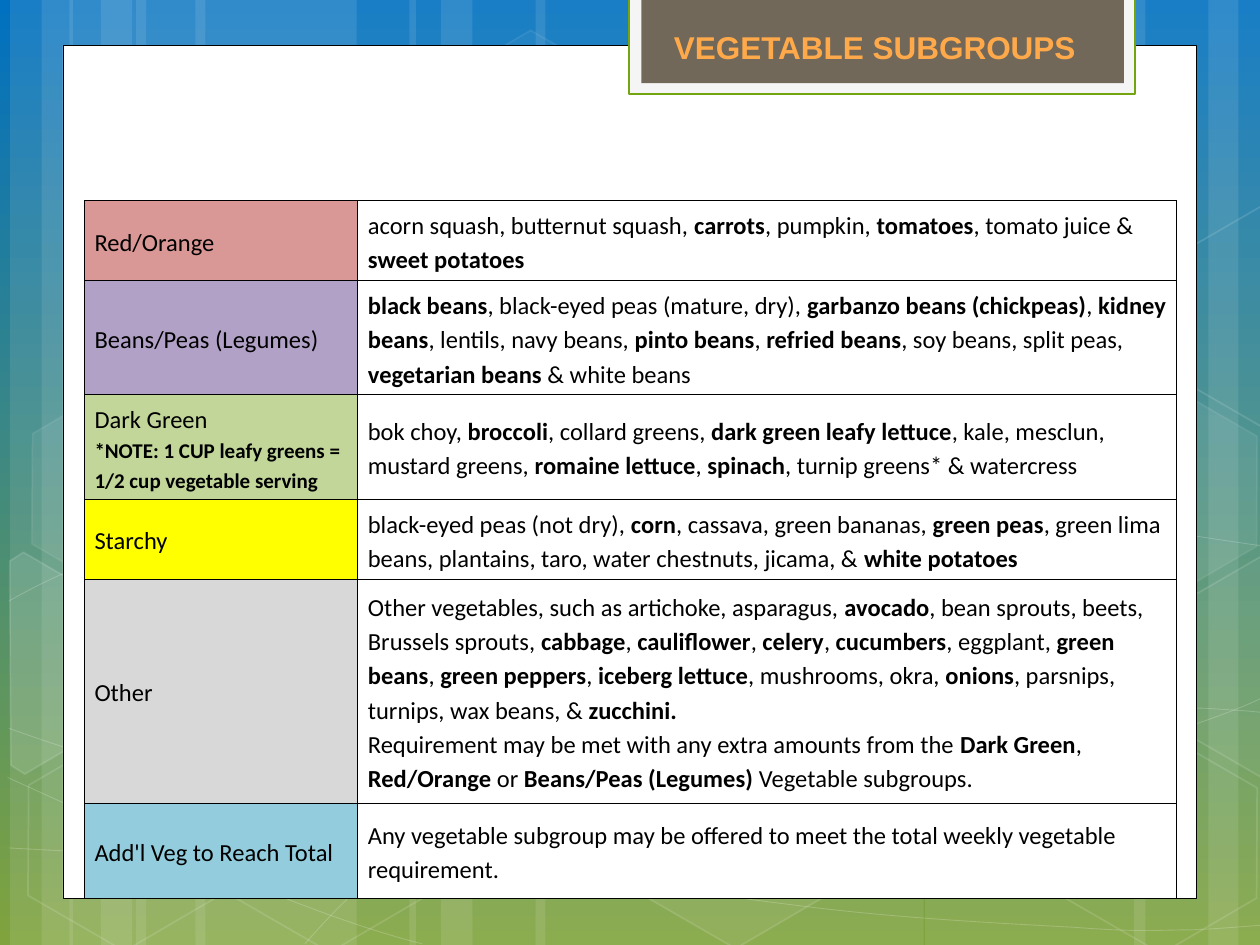
from dataclasses import dataclass
from math import cos, radians, sin
from lxml.etree import SubElement
from pptx import Presentation
from pptx.dml.color import RGBColor as Rgb
from pptx.enum.shapes import MSO_SHAPE as Kind
from pptx.enum.text import MSO_ANCHOR as Anchor
from pptx.oxml import parse_xml
from pptx.oxml.ns import nsdecls, qn
from pptx.util import Inches, Pt


@dataclass(frozen=True)
class Theme:
    sky: str = "0070C0"
    grass: str = "80A33D"
    white: str = "FFFFFF"
    ink: str = "000000"
    tab: str = "71685A"
    rim: str = "F5F5F5"
    edge: str = "74A510"
    title: str = "FFA94A"
    head: str = "Arial"
    body: str = "Calibri"
    big: int = 18
    text: int = 14
    note: int = 12


T = Theme()

# Parts between bars are bold: plain|bold|plain ...
ROWS = [
    (0.54, "D99795", "Red/Orange",
     ["acorn squash, butternut squash, |carrots|, pumpkin, |tomatoes|, tomato juice & "
      "|sweet potatoes"]),
    (0.8, "B2A1C7", "Beans/Peas (Legumes)",
     ["|black beans|, black-eyed peas (mature, dry), |garbanzo beans (chickpeas)|, "
      "|kidney beans|, lentils, navy beans, |pinto beans|, |refried beans|, soy beans, "
      "split peas, |vegetarian beans| & white beans"]),
    (0.73, "C2D69A",
     "Dark Green\n|*NOTE: 1 CUP leafy greens = \n1/2 cup vegetable serving",
     ["bok choy, |broccoli|, collard greens, |dark green leafy lettuce|, kale, mesclun, "
      "mustard greens, |romaine lettuce|,| spinach|, turnip greens* & watercress"]),
    (0.54, "FFFF00", "Starchy",
     ["black-eyed peas (not dry), |corn|, cassava, green bananas, |green peas|, green lima "
      "beans, plantains, taro, water chestnuts, jicama, & |white potatoes"]),
    (1.78, "D8D8D8", "Other",
     ["Other vegetables, such as artichoke, asparagus, |avocado|, bean sprouts, beets, "
      "Brussels sprouts, |cabbage|, |cauliflower|, |celery|, |cucumbers|, eggplant, "
      "|green beans|, |green peppers|, |iceberg lettuce|, mushrooms, okra, |onions|, "
      "parsnips, turnips, wax beans, & |zucchini.",
      "Requirement may be met with any extra amounts from the |Dark Green|, |Red/Orange |or "
      "|Beans/Peas (Legumes)| Vegetable subgroups."]),
    (0.75, "93CDDD", "Add'l Veg to Reach Total",
     ["Any vegetable subgroup may be offered to meet the total weekly vegetable "
      "requirement."]),
]
COLS = [2.17] + [1.3] * 5
TOP = 0.27

# Left edge and width of each light band
BANDS = [(1.08, 1.75), (0.08, 0.5), (0.33, 0.83), (1.55, 1.75), (0.55, 0.5), (0.8, 0.83),
         (7.34, 1.75), (9.59, 0.5), (9, 0.83), (4.25, 3.08), (3.25, 0.5), (3.5, 0.83)]

# Start point, then two handles and an end point for each cubic piece
CURVES = [
    [(0.07, 6.73), (0.61, 6.76), (1.15, 6.79), (1.9, 6.78), (2.65, 6.77), (3.58, 6.75),
     (4.58, 6.65), (5.58, 6.55), (7, 6.36), (7.92, 6.17), (8.83, 5.98), (9.77, 5.68),
     (10.07, 5.51)],
    [(0.07, 4.77), (0.36, 4.61), (0.65, 4.46), (1.21, 4.31), (1.78, 4.16), (2.59, 3.94),
     (3.47, 3.87), (4.36, 3.8), (5.44, 3.79), (6.54, 3.87), (7.64, 3.95), (9.47, 4.26),
     (10.07, 4.34)],
    [(0.06, 6.17), (1.27, 6.72), (2.47, 7.27), (3.35, 7.49)],
    [(0.07, 5.78), (0.38, 5.89), (0.7, 6), (1.28, 6.16), (1.86, 6.31), (2.73, 6.56),
     (3.57, 6.73), (4.4, 6.9), (5.45, 7.08), (6.28, 7.18), (7.11, 7.29), (8, 7.33),
     (8.53, 7.36), (9.06, 7.4), (9.19, 7.38), (9.45, 7.38), (9.71, 7.37), (9.89, 7.35),
     (10.07, 7.34)],
    [(2.42, 7.49), (2.6, 7.29), (2.78, 7.09), (3.02, 6.91), (3.26, 6.72), (3.6, 6.53),
     (3.88, 6.39), (4.16, 6.25), (4.33, 6.19), (4.69, 6.09), (5.06, 5.99), (5.73, 5.85),
     (6.08, 5.78), (6.44, 5.71), (6.49, 5.71), (6.8, 5.69), (7.11, 5.66), (7.6, 5.63),
     (7.94, 5.62), (8.29, 5.61), (8.86, 5.62), (8.86, 5.62), (9.08, 5.62), (9.31, 5.62),
     (9.53, 5.62), (9.71, 5.63), (9.88, 5.64), (9.97, 5.65), (10.06, 5.66), (10.03, 5.65),
     (10.06, 5.66)],
]

# Left, top, fill opacity, line opacity
HEXES = [(3.34, 0.36, 4, 8), (4.96, 5.89, 6, 12), (0.11, 5.91, 0, 12), (0.14, 3.12, 7, 8),
         (1.74, 5.92, 0, 12), (7.53, 4.53, 10, 12), (8.34, 5.93, 0, 12), (8.34, 3.14, 7, 8)]
TURN = 30

# Centre, fill opacity, corners of each hexagon cut by the slide's side
CUTS = [
    ((0.36, 5.36), 10, [(0.08, 4.45), (0.19, 4.38), (0.96, 4.83), (0.95, 5.7), (0.2, 6.14),
                        (0.09, 6.07)]),
    ((9.85, 5.2), 4, [(9.26, 4.85), (10.02, 4.41), (10.09, 4.46), (10.09, 6.13),
                      (10.02, 6.17), (9.26, 5.73)]),
    ((9.85, 2.41), 0, [(9.26, 2.07), (10.02, 1.63), (10.1, 1.68), (10.09, 3.35),
                       (10.02, 3.39), (9.26, 2.95)]),
]


def tint(fill, color, alpha=100):
    """Fill with a colour at an opacity in percent; 0 leaves it empty."""
    if not alpha:
        fill.background()
        return
    fill.solid()
    fill.fore_color.rgb = Rgb.from_string(color)
    if alpha < 100:
        node = fill._xPr.find(qn("a:solidFill"))[0]
        SubElement(node, qn("a:alpha")).set("val", str(alpha * 1000))


def paint(shape, fill=T.white, alpha=100, line=T.white, wide=1, clear=0):
    """Style a shape; clear is the line's opacity in percent."""
    shape.shadow.inherit = False
    tint(shape.fill, fill, alpha)
    tint(shape.line.fill, line, clear)
    if clear:
        shape.line.width = Pt(wide)


def block(slide, kind, box, **look):
    shape = slide.shapes.add_shape(kind, *map(Inches, box))
    paint(shape, **look)
    return shape


def trace(slide, spots, close, **look):
    first, *rest = [(Inches(x), Inches(y)) for x, y in spots]
    pen = slide.shapes.build_freeform(*first)
    pen.add_line_segments(rest, close=close)
    shape = pen.convert_to_shape()
    paint(shape, **look)
    return shape


def bend(shape):
    """Turn each three straight pieces of an outline into one cubic curve."""
    lines = list(shape._element.iter(qn("a:lnTo")))
    for i in range(0, len(lines), 3):
        curve = SubElement(lines[i].getparent(), qn("a:cubicBezTo"))
        for line in lines[i:i + 3]:
            curve.append(line[0])
            line.getparent().remove(line)


def spin(spot, mid, angle):
    c, s = cos(radians(angle)), sin(radians(angle))
    x, y = spot[0] - mid[0], spot[1] - mid[1]
    return mid[0] + x * c - y * s, mid[1] + x * s + y * c


def write(frame, paras, size=T.text, strong=None, font=T.body, color=T.ink, gap=None):
    """Write paragraphs with |bold| parts; strong is the size of the bold parts."""
    frame.word_wrap = True
    for i, words in enumerate(paras):
        para = frame.paragraphs[0] if i == 0 else frame.add_paragraph()
        para.line_spacing = gap
        for j, part in enumerate(words.split("|")):
            for k, piece in enumerate(part.split("\n")):
                if k:
                    para.add_line_break()
                if not piece:
                    continue
                run = para.add_run()
                run.text = piece
                run.font.name, run.font.bold = font, j % 2 == 1
                run.font.size = Pt(strong or size) if j % 2 else Pt(size)
                run.font.color.rgb = Rgb.from_string(color)


def rule(cell, sides):
    """Draw thin lines on the named sides of a cell and none on the rest."""
    for i, side in enumerate("LRTB"):
        ink = (f'<a:solidFill><a:srgbClr val="{T.ink}"/></a:solidFill>'
               if side in sides else "<a:noFill/>")
        cell._tc.get_or_add_tcPr().insert(i, parse_xml(
            f'<a:ln{side} {nsdecls("a")} w="{Pt(0.45)}">{ink}</a:ln{side}>'))


def backdrop(slide):
    fill = slide.background.fill
    fill.gradient()
    fill.gradient_angle = 270
    for stop, color in zip(fill.gradient_stops, (T.sky, T.grass)):
        stop.color.rgb = Rgb.from_string(color)
    for x, w in BANDS:
        block(slide, Kind.RECTANGLE, (x, 0, w, 7.5), alpha=10)
    for knots in CURVES:
        bend(trace(slide, knots, False, alpha=0, wide=0.5, clear=20))
    for x, y, alpha, clear in HEXES:
        shape = block(slide, Kind.HEXAGON, (x, y, 1.75, 1.52), alpha=alpha, clear=clear)
        shape.adjustments[0] = 0.285
        shape.rotation = TURN
    for mid, alpha, spots in CUTS:
        flat = [spin(spot, mid, -TURN) for spot in spots]
        trace(slide, flat, True, alpha=alpha, clear=12).rotation = TURN


def header(slide):
    block(slide, Kind.RECTANGLE, (0.5, 0.36, 9, 6.77), line=T.ink, wide=0.5, clear=100)
    block(slide, Kind.RECTANGLE, (4.99, -0.02, 4.02, 0.77), fill=T.rim, line=T.edge,
          wide=1.25, clear=100)
    block(slide, Kind.RECTANGLE, (5.09, -0.02, 3.83, 0.68), fill=T.tab)
    box = slide.shapes.add_textbox(*map(Inches, (5.25, 0.17, 3.5, 0.4)))
    write(box.text_frame, ["|VEGETABLE SUBGROUPS"], strong=T.big, font=T.head, color=T.title)


def groups(slide):
    highs = [TOP] + [row[0] for row in ROWS]
    area = map(Inches, (0.67, 1.19, sum(COLS), sum(highs)))
    table = slide.shapes.add_table(len(highs), len(COLS), *area).table
    table.first_row = table.horz_banding = False
    for col, wide in zip(table.columns, COLS):
        col.width = Inches(wide)
    for r, high in enumerate(highs):
        table.rows[r].height = Inches(high)
        for cell in table.rows[r].cells:
            cell.fill.background()
            rule(cell, "LRTB" if r else "B")
    for r, (_, color, label, foods) in enumerate(ROWS, 1):
        name, detail = table.cell(r, 0), table.cell(r, 1)
        detail.merge(table.cell(r, len(COLS) - 1))
        tint(name.fill, color)
        for cell, paras, strong in ((name, [label], T.note), (detail, foods, T.text)):
            cell.vertical_anchor = Anchor.MIDDLE
            cell.margin_left = cell.margin_right = Inches(0.08)
            write(cell.text_frame, paras, strong=strong, gap=1.15)


def main():
    deck = Presentation()
    deck.slide_width, deck.slide_height = Inches(10), Inches(7.5)
    slide = deck.slides.add_slide(deck.slide_layouts[6])
    backdrop(slide)
    header(slide)
    groups(slide)
    deck.save("out.pptx")


if __name__ == "__main__":
    main()
